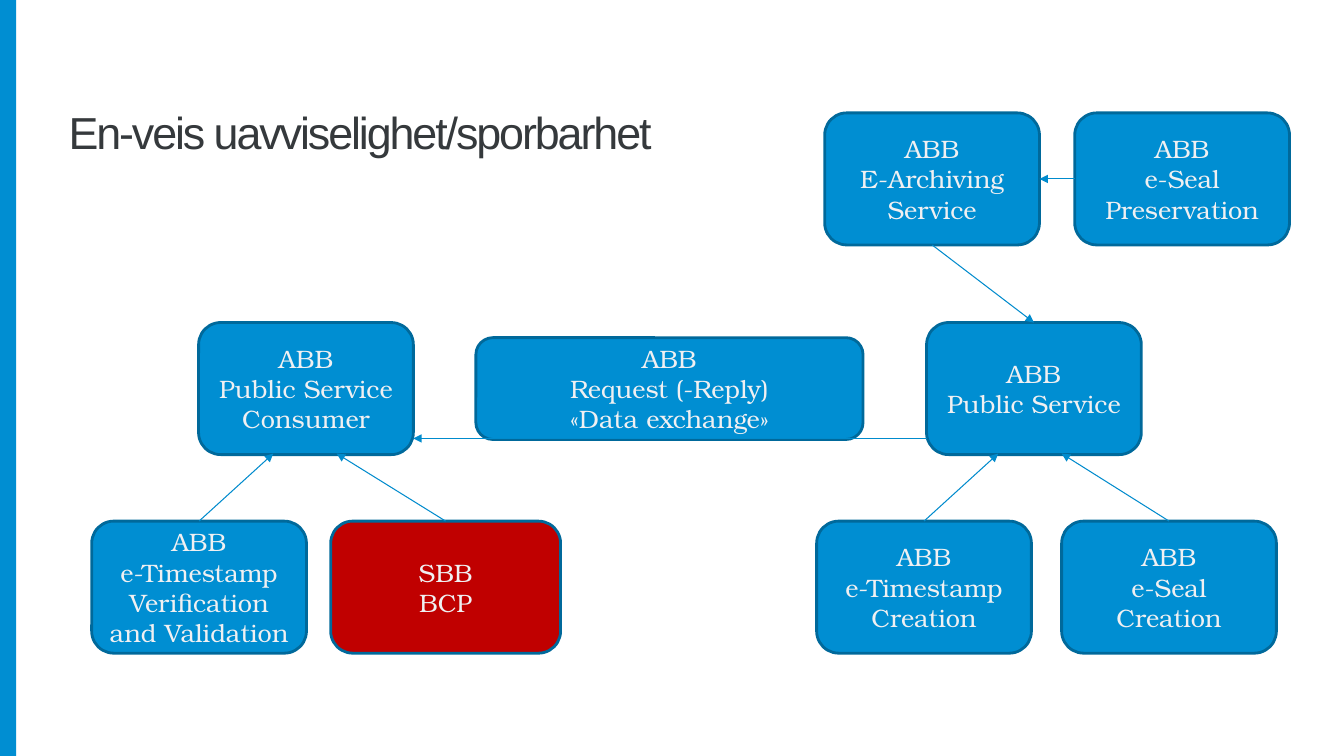
import dataclasses

import lxml.etree
import pptx
import pptx.dml.color
import pptx.enum.shapes
import pptx.enum.text
import pptx.oxml.ns
import pptx.util

Inches = pptx.util.Inches
Pt = pptx.util.Pt
qn = pptx.oxml.ns.qn


@dataclasses.dataclass(frozen=True)
class Theme:
    blue: str = "008ED2"
    red: str = "C00000"
    outline: str = "00699B"
    arrow: str = "008BCD"
    title_color: str = "35393C"
    box_text: str = "F0F0F2"
    title_font: str = "Arial"
    box_font: str = "TeX Gyre Bonum"
    title_size: int = 32
    box_size: int = 18
    outline_width: float = 2
    arrow_width: float = 0.75


class SlideBuilder:
    def __init__(self, slide, theme):
        self.slide = slide
        self.theme = theme

    @staticmethod
    def color(value):
        return pptx.dml.color.RGBColor.from_string(value)

    def add_run(self, paragraph, text, font, size, color):
        run = paragraph.add_run()
        run.text = text
        run.font.name = font
        run.font.size = Pt(size)
        run.font.color.rgb = self.color(color)
        return run

    def add_shape(self, kind, left, top, width, height, fill):
        shape = self.slide.shapes.add_shape(
            kind, Inches(left), Inches(top), Inches(width), Inches(height))
        shape.shadow.inherit = False
        shape.fill.solid()
        shape.fill.fore_color.rgb = self.color(fill)
        return shape

    def add_side_bar(self, width, height):
        kind = pptx.enum.shapes.MSO_SHAPE.RECTANGLE
        shape = self.add_shape(kind, 0, 0, width, height, self.theme.blue)
        shape.line.fill.background()

    def add_title(self, text, left, top, width, height):
        shape = self.slide.shapes.add_textbox(
            Inches(left), Inches(top), Inches(width), Inches(height))
        frame = shape.text_frame
        frame.word_wrap = True
        frame.vertical_anchor = pptx.enum.text.MSO_ANCHOR.BOTTOM
        frame.margin_left = frame.margin_right = Inches(0.13)
        frame.margin_top = frame.margin_bottom = Inches(0.07)
        run = self.add_run(frame.paragraphs[0], text, self.theme.title_font,
                           self.theme.title_size, self.theme.title_color)
        run.font._element.set("spc", "-150")

    def add_box(self, lines, left, top, width=2.13, height=1.31, fill=None):
        kind = pptx.enum.shapes.MSO_SHAPE.ROUNDED_RECTANGLE
        shape = self.add_shape(kind, left, top, width, height,
                               fill or self.theme.blue)
        shape.line.color.rgb = self.color(self.theme.outline)
        shape.line.width = Pt(self.theme.outline_width)
        frame = shape.text_frame
        frame.word_wrap = True
        frame.vertical_anchor = pptx.enum.text.MSO_ANCHOR.MIDDLE
        for index, text in enumerate(lines):
            paragraph = frame.add_paragraph() if index else frame.paragraphs[0]
            paragraph.alignment = pptx.enum.text.PP_ALIGN.CENTER
            self.add_run(paragraph, text, self.theme.box_font,
                         self.theme.box_size, self.theme.box_text)
        return shape

    def add_arrow(self, start, end, source=None, target=None):
        connector = self.slide.shapes.add_connector(
            pptx.enum.shapes.MSO_CONNECTOR.STRAIGHT,
            *(Inches(value) for value in start + end))
        if source:
            connector.begin_connect(*source)
        if target:
            connector.end_connect(*target)
        connector.line.color.rgb = self.color(self.theme.arrow)
        connector.line.width = Pt(self.theme.arrow_width)
        line = connector.line._get_or_add_ln()
        lxml.etree.SubElement(line, qn("a:tailEnd"), type="triangle")
        properties = connector._element.spPr
        lxml.etree.SubElement(properties, qn("a:effectLst"))


TOP, BOTTOM, LEFT, RIGHT = 0, 2, 1, 3


def main():
    presentation = pptx.Presentation()
    presentation.slide_width = Inches(13.33)
    presentation.slide_height = Inches(7.5)
    slide = presentation.slides.add_slide(presentation.slide_layouts[6])
    theme = Theme()
    builder = SlideBuilder(slide, theme)

    builder.add_side_bar(0.16, 7.5)
    builder.add_title("En-veis uavviselighet/sporbarhet", 0.55, 0.26, 12.23, 1.38)

    archive_top, service_top, support_top = 1.12, 3.2, 5.17
    builder.add_box(["ABB", "Public Service Consumer"], 1.97, service_top)
    builder.add_box(["ABB", "Request (-Reply)", "«Data exchange»"],
                    4.72, 3.35, 3.84, 1.01)
    service = builder.add_box(["ABB", "Public Service"], 9.19, service_top)
    seal = builder.add_box(["ABB", "e-Seal Creation"], 10.53, support_top)
    timestamp = builder.add_box(["ABB", "e-Timestamp Creation"], 8.1, support_top)
    validation = builder.add_box(
        ["ABB", "e-Timestamp Verification and Validation"], 0.91, support_top)
    bcp = builder.add_box(["SBB", "BCP"], 3.28, support_top, 2.28, fill=theme.red)
    preservation = builder.add_box(["ABB", "e-Seal Preservation"],
                                   10.66, archive_top)
    archiving = builder.add_box(["ABB", "E-Archiving Service"], 8.18, archive_top)

    builder.add_arrow((9.19, 4.35), (4.1, 4.35))
    support_arrows = [
        (timestamp, 9.16, 9.9),
        (seal, 11.59, 10.53),
        (validation, 1.97, 2.71),
        (bcp, 4.4, 3.34),
    ]
    for box, start, end in support_arrows:
        builder.add_arrow((start, support_top), (end, 4.5), source=(box, TOP))
    builder.add_arrow((9.24, 2.42), (10.25, service_top),
                      (archiving, BOTTOM), (service, TOP))
    builder.add_arrow((10.66, 1.77), (10.3, 1.77),
                      (preservation, LEFT), (archiving, RIGHT))

    presentation.save("out.pptx")


if __name__ == "__main__":
    main()
